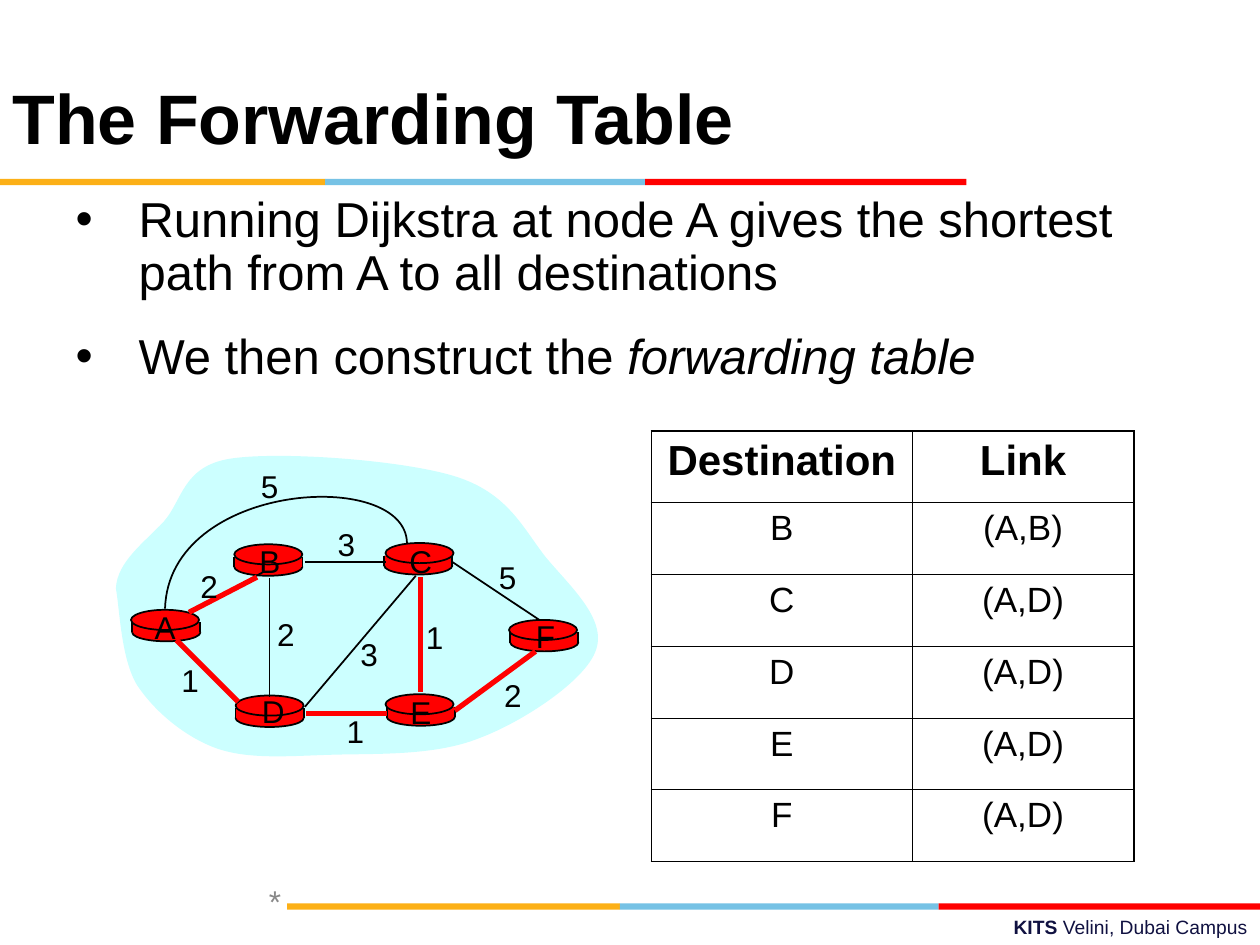
"""Build the slide on the forwarding table that Dijkstra gives at node A."""
from dataclasses import dataclass

from pptx import Presentation
from pptx.dml.color import RGBColor
from pptx.enum.shapes import MSO_CONNECTOR, MSO_SHAPE
from pptx.enum.text import MSO_ANCHOR, MSO_AUTO_SIZE, PP_ALIGN
from pptx.oxml.ns import qn
from pptx.util import Inches, Pt
from lxml import etree

RECT, OVAL = MSO_SHAPE.RECTANGLE, MSO_SHAPE.OVAL
STRAIGHT = MSO_CONNECTOR.STRAIGHT
LEFT, MID, RIGHT = PP_ALIGN.LEFT, PP_ALIGN.CENTER, PP_ALIGN.RIGHT
MIDDLE, NO_FIT = MSO_ANCHOR.MIDDLE, MSO_AUTO_SIZE.NONE


@dataclass
class Theme:
    font: str = "Arial"
    black: str = "000000"
    red: str = "FF0000"
    gold: str = "FCB017"
    blue: str = "76C2E5"
    cloud: str = "CCFFFF"
    grey: str = "898989"
    navy: str = "101141"
    title: int = 40
    body: int = 28
    head: int = 24
    cell: int = 20
    label: int = 18
    foot: int = 11
    thin: float = 0.99
    thick: float = 3


theme = Theme()


def style(para, size, color, align=LEFT, bold=False):
    para.alignment = align
    para.font.name, para.font.size, para.font.bold = theme.font, Pt(size), bold
    para.font.color.rgb = RGBColor.from_string(color)


def paint(shape, fill=None, line=None):
    shape.shadow.inherit = False
    for part, color in ((shape.fill, fill), (shape.line.fill, line)):
        if color:
            part.solid()
            part.fore_color.rgb = RGBColor.from_string(color)
        else:
            part.background()
    if line:
        shape.line.width = Pt(theme.thin)


deck = Presentation()
deck.slide_width, deck.slide_height = Inches(10), Inches(7.5)
slide = deck.slides.add_slide(deck.slide_layouts[1])
shapes = slide.shapes

strips = [
    (0, 1.42, 2.58, theme.gold), (2.58, 1.42, 2.54, theme.blue),
    (5.12, 1.42, 2.55, theme.red), (2.28, 7.17, 2.64, theme.gold),
    (4.92, 7.17, 2.53, theme.blue), (7.45, 7.17, 2.55, theme.red),
]
for x, y, width, color in strips:
    strip = shapes.add_shape(RECT, Inches(x), Inches(y), Inches(width), Inches(0.05))
    paint(strip, color)

title = shapes.title
title.left, title.top, title.width, title.height = map(Inches, (0, 0.3, 9, 1.25))
title.text_frame.text = "The Forwarding Table"
title.text_frame.vertical_anchor = MIDDLE
title.text_frame.auto_size = NO_FIT
style(title.text_frame.paragraphs[0], theme.title, theme.black, bold=True)

body = slide.placeholders[1]
body.left, body.top, body.width, body.height = map(Inches, (0.5, 1.5, 9, 5.42))
frame = body.text_frame
frame.auto_size = NO_FIT
frame.text = ("Running Dijkstra at node A gives the shortest path from A to all "
              "destinations\nWe then construct the ")
term = frame.paragraphs[1].add_run()
term.text, term.font.italic = "forwarding table", True
for para in frame.paragraphs:
    style(para, theme.body, theme.black)
    para.line_spacing, para.space_before = 0.9, Pt(17.5)
    props = para._p.get_or_add_pPr()
    props.set("marL", str(Inches(0.5)))
    props.set("indent", str(-Inches(0.5)))
    etree.SubElement(props, qn("a:buChar")).set("char", "•")

cloud = [
    (0.92, 4.67), (0.93, 4.46), (1.14, 4.31), (1.3, 4.14), (1.45, 3.97),
    (1.45, 3.7), (1.83, 3.64), (2.22, 3.58), (3.19, 3.65), (3.61, 3.78),
    (4.03, 3.91), (4.15, 4.19), (4.33, 4.42), (4.52, 4.65), (4.82, 4.91),
    (4.73, 5.16), (4.65, 5.4), (4.15, 5.73), (3.8, 5.86), (3.45, 6),
    (2.99, 5.98), (2.64, 5.99), (2.3, 6), (1.98, 6.03), (1.72, 5.94),
    (1.47, 5.85), (1.23, 5.65), (1.09, 5.44), (0.96, 5.23), (0.95, 4.83),
    (0.92, 4.67),
]
arc = [(3.23, 4.31), (3.22, 3.71), (1.34, 3.82), (1.31, 4.83)]
for knots, fill, line in ((cloud, theme.cloud, None), (arc, None, theme.black)):
    first, *rest = [(Inches(x), Inches(y)) for x, y in knots]
    draft = shapes.build_freeform(*first, scale=1.0)
    draft.add_line_segments(rest, close=bool(fill))
    curve = draft.convert_to_shape()
    paint(curve, fill, line)
    legs = list(curve._element.iter(qn("a:lnTo")))
    for start in range(0, len(legs), 3):
        bend = etree.Element(qn("a:cubicBezTo"))
        legs[start].addprevious(bend)
        for leg in legs[start:start + 3]:
            bend.append(leg[0])
            leg.getparent().remove(leg)

nodes = [(1.05, 4.94, -0.01), (1.87, 5.62, 0), (1.86, 4.42, 0),
         (3.05, 4.41, 0.01), (3.07, 5.61, -0.01), (4.05, 5.02, -0.01)]
edges = [(1.5, 4.86, 2.09, 4.54, False)]
for x, y, shift in nodes:
    for kind, left, top, height, line in ((OVAL, x, y + 0.01, 0.14, theme.black),
                                          (RECT, x, y, 0.08, None),
                                          (OVAL, x + shift, y - 0.1, 0.16, theme.black)):
        part = shapes.add_shape(kind, Inches(left), Inches(top), Inches(0.54), Inches(height))
        paint(part, theme.red, line)
    edges += [(side, y, side, y + 0.08, False) for side in (x, x + 0.54)]

edges += [
    (3.34, 4.58, 3.34, 5.49, True), (2.14, 4.59, 2.14, 5.53, False),
    (2.42, 5.61, 3.3, 4.57, False), (3.61, 5.64, 4.25, 5.17, True),
    (3.07, 5.66, 2.43, 5.66, True), (1.89, 5.56, 1.41, 5.1, False),
    (3.06, 4.46, 2.42, 4.46, False), (4.28, 4.92, 3.59, 4.46, False),
    (1.4, 5.08, 1.89, 5.57, True), (1.5, 4.86, 2.04, 4.58, True),
]
for *ends, best in edges:
    edge = shapes.add_connector(STRAIGHT, *map(Inches, ends))
    edge.line.width = Pt(theme.thick if best else theme.thin)
    edge.line.color.rgb = RGBColor.from_string(theme.red if best else theme.black)
    etree.SubElement(edge._element.spPr, qn("a:effectLst"))

labels = [
    ("A", 1.31, 4.78), ("E", 3.34, 5.45), ("D", 2.16, 5.44), ("C", 3.33, 4.25),
    ("B", 2.14, 4.25), ("F", 4.33, 4.85), ("2", 1.66, 4.45), ("2", 2.27, 4.83),
    ("1", 1.51, 5.2), ("3", 2.93, 4.99), ("1", 2.82, 5.6), ("1", 3.45, 4.86),
    ("2", 4.07, 5.32), ("5", 4.03, 4.38), ("3", 2.75, 4.12), ("5", 2.14, 3.66),
]
for text, x, y in labels:
    box = shapes.add_textbox(Inches(x - 0.18), Inches(y), Inches(0.36), Inches(0.4))
    box.text_frame.word_wrap = False
    box.text_frame.text = text
    style(box.text_frame.paragraphs[0], theme.label, theme.black, MID)

rows = [("Destination", "Link"), ("B", "(A,B)")] + [(n, "(A,D)") for n in "CDEF"]
table = shapes.add_table(len(rows), 2, Inches(5.17), Inches(3.42),
                         Inches(3.83), Inches(3.42)).table
table.horz_banding = False
table.columns[0].width, table.columns[1].width = Inches(2.07), Inches(1.76)
for r, row in enumerate(rows):
    table.rows[r].height = Inches(0.57)
    for c, text in enumerate(row):
        cell = table.cell(r, c)
        cell.text = text
        cell.fill.background()
        size = theme.cell if r else theme.head
        style(cell.text_frame.paragraphs[0], size, theme.black, MID, r == 0)
        outer = (c == 0, c == 1, r == 0, r == len(rows) - 1)
        props = cell._tc.get_or_add_tcPr()
        for i, (side, edge) in enumerate(zip("LRTB", outer)):
            rule = etree.Element(qn("a:ln" + side), w=str(Pt(1.08 if edge else 0.45)))
            ink = etree.SubElement(rule, qn("a:solidFill"))
            etree.SubElement(ink, qn("a:srgbClr")).set("val", theme.black)
            props.insert(i, rule)

notes = [
    (0, 6.95, 2.33, 0.4, ("*",), theme.label, theme.grey),
    (3.58, 7.21, 6.42, 0.29, ("KITS ", "Velini, Dubai Campus"), theme.foot, theme.navy),
]
for *place, texts, size, color in notes:
    box = shapes.add_textbox(*map(Inches, place))
    box.text_frame.word_wrap = True
    box.text_frame.vertical_anchor = MIDDLE
    para = box.text_frame.paragraphs[0]
    style(para, size, color, RIGHT)
    for text in texts:
        run = para.add_run()
        run.text, run.font.bold = text, text == "KITS "

deck.save("out.pptx")
